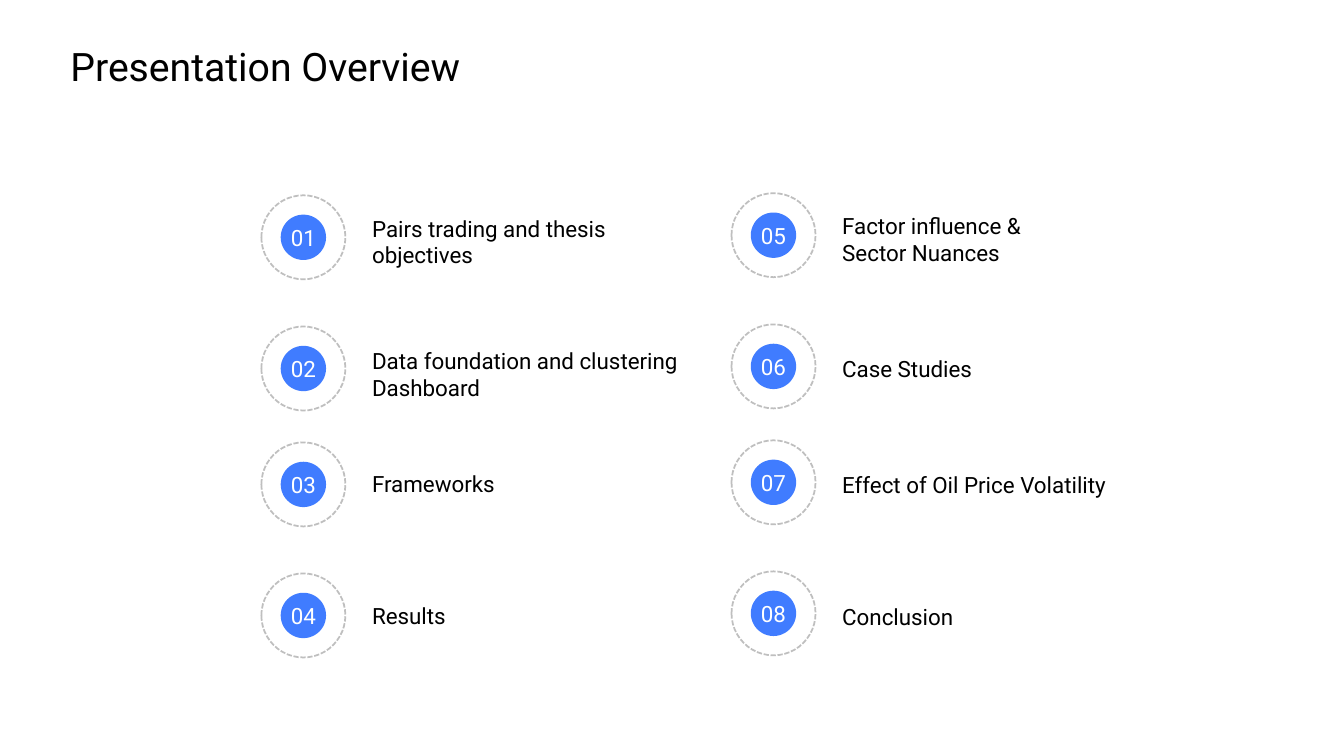
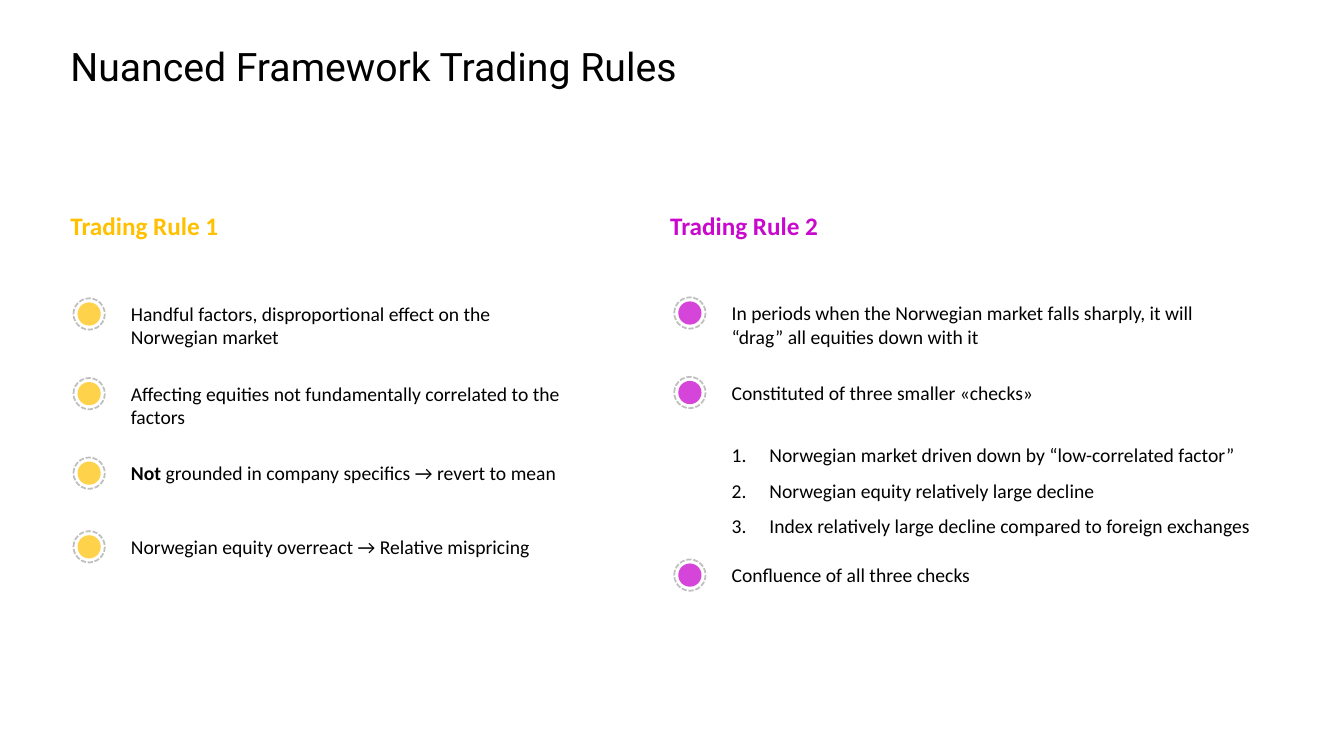
from lxml.etree import SubElement
from pptx import Presentation
from pptx.dml.color import RGBColor
from pptx.enum.dml import MSO_LINE
from pptx.enum.shapes import MSO_SHAPE
from pptx.enum.text import MSO_ANCHOR, PP_ALIGN
from pptx.oxml.ns import qn
from pptx.util import Pt

# Shared style
BLACK, WHITE, GREY = "000000", "FFFFFF", "BFBFBF"
BLUE, YELLOW, PURPLE = "1760FF", "FFC000", "C808CD"
TITLE_FONT, BODY_FONT = "Roboto", "Calibri"


def add_text(slide, left, top, width, height, text, size, font, color=BLACK, bold=False):
    box = slide.shapes.add_textbox(Pt(left), Pt(top), Pt(width), Pt(height))
    frame = box.text_frame
    frame.word_wrap = True
    frame.text = text
    for para in frame.paragraphs:
        para.font.size = Pt(size)
        for span in para.runs:
            span.font.size = Pt(size)
            span.font.name = font
            span.font.bold = bold
            span.font.color.rgb = RGBColor.from_string(color)
    return box


def add_marker(slide, center_x, center_y, disc_size, ring_size, color, opacity):
    """Draw a translucent disc inside a dashed ring and return the disc."""
    disc, ring = [
        slide.shapes.add_shape(
            MSO_SHAPE.OVAL, Pt(center_x - size / 2), Pt(center_y - size / 2), Pt(size), Pt(size)
        )
        for size in (disc_size, ring_size)
    ]
    disc.shadow.inherit = ring.shadow.inherit = False
    disc.fill.solid()
    disc.fill.fore_color.rgb = RGBColor.from_string(color)
    disc_color = disc.fill._xPr.find(qn("a:solidFill"))[0]
    SubElement(disc_color, qn("a:alpha"), val=str(opacity * 1000))
    disc.line.fill.background()
    ring.fill.background()
    ring.line.color.rgb = RGBColor.from_string(GREY)
    ring.line.width = Pt(1.25)
    ring.line.dash_style = MSO_LINE.SQUARE_DOT
    return disc


deck = Presentation()
deck.slide_width, deck.slide_height = Pt(960), Pt(540)

# Both slides with their titles
titles = ["Presentation Overview", "Nuanced Framework Trading Rules"]
overview, rules = [deck.slides.add_slide(deck.slide_layouts[6]) for title in titles]
for slide, title in zip((overview, rules), titles):
    add_text(slide, 43.2, 26.6, 522, 41, title, 28, TITLE_FONT)

# Overview: two columns of numbered topics (label, label top, label width)
marker_rows = [169.5, 263.2, 346, 439.6]
topic_columns = [
    (216.7, 0, [
        ("Pairs trading and thesis objectives", 149.8, 236),
        ("Data foundation and clustering Dashboard", 244.3, 236),
        ("Frameworks", 332.6, 236),
        ("Results", 426.5, 236),
    ]),
    (552.5, -1.5, [
        ("Factor influence & Sector Nuances", 148.3, 186.5),
        ("Case Studies", 250, 236),
        ("Effect of Oil Price Volatility", 332.8, 236),
        ("Conclusion", 427, 236),
    ]),
]
number = 0
for center_x, shift, topics in topic_columns:
    for center_y, (label, top, width) in zip(marker_rows, topics):
        number += 1
        add_text(overview, center_x + 42, top, width, 27, label, 16, TITLE_FONT)
        disc = add_marker(overview, center_x, center_y + shift, 32.4, 60, BLUE, 82)
        frame = disc.text_frame
        frame.margin_left = frame.margin_right = frame.margin_top = frame.margin_bottom = 0
        frame.vertical_anchor = MSO_ANCHOR.MIDDLE
        frame.word_wrap = False
        frame.text = f"{number:02}"
        para = frame.paragraphs[0]
        para.alignment = PP_ALIGN.CENTER
        span = para.runs[0]
        span.font.size = Pt(16)
        span.font.name = TITLE_FONT
        span.font.color.rgb = RGBColor.from_string(WHITE)

# Trading rules: heading and marked points (center, text) in two columns
rule_columns = [
    ("Trading Rule 1", 43.2, 63.7, YELLOW, 70, 325, [
        (224.3, "Handful factors, disproportional effect on the Norwegian market"),
        (281.2, "Affecting equities not fundamentally correlated to the factors"),
        (338, "Not grounded in company specifics → revert to mean"),
        (390.6, "Norwegian equity overreact → Relative mispricing"),
    ]),
    ("Trading Rule 2", 471.6, 492.8, PURPLE, 75, 347, [
        (223.6, "In periods when the Norwegian market falls sharply, it will “drag” all equities down with it"),
        (280.4, "Constituted of three smaller «checks»"),
        (410.8, "Confluence of all three checks"),
    ]),
]
for heading, left, center_x, color, opacity, width, points in rule_columns:
    add_text(rules, left, 146.9, 216, 29, heading, 18, BODY_FONT, color, bold=True)
    for center_y, point in points:
        add_marker(rules, center_x, center_y, 16.6, 22.4, color, opacity)
        box = add_text(rules, center_x + 22.7, center_y - 12.2, width, 24.5, point, 14, BODY_FONT)
        if point.startswith("Not "):
            para = box.text_frame.paragraphs[0]
            para.runs[0].text = "Not "
            para.runs[0].font.bold = True
            span = para.add_run()
            span.text = point.removeprefix("Not ")
            span.font.size = Pt(14)
            span.font.name = BODY_FONT
            span.font.color.rgb = RGBColor.from_string(BLACK)

# Numbered checks below the second rule
checks = [
    "Norwegian market driven down by “low-correlated factor”",
    "Norwegian equity relatively large decline",
    "Index relatively large decline compared to foreign exchanges",
]
box = add_text(rules, 515.5, 304.6, 405, 80.6, "\n".join(checks), 14, BODY_FONT)
for para in box.text_frame.paragraphs:
    para.line_spacing = 1.5
    properties = para._p.get_or_add_pPr()
    properties.set("marL", str(Pt(27)))
    properties.set("indent", str(-Pt(27)))
    SubElement(properties, qn("a:buFont"), typeface="+mj-lt")
    numbering = SubElement(properties, qn("a:buAutoNum"), type="arabicPeriod")
    default_font = properties.find(qn("a:defRPr"))
    if default_font is not None:
        properties.append(default_font)

deck.save("out.pptx")
